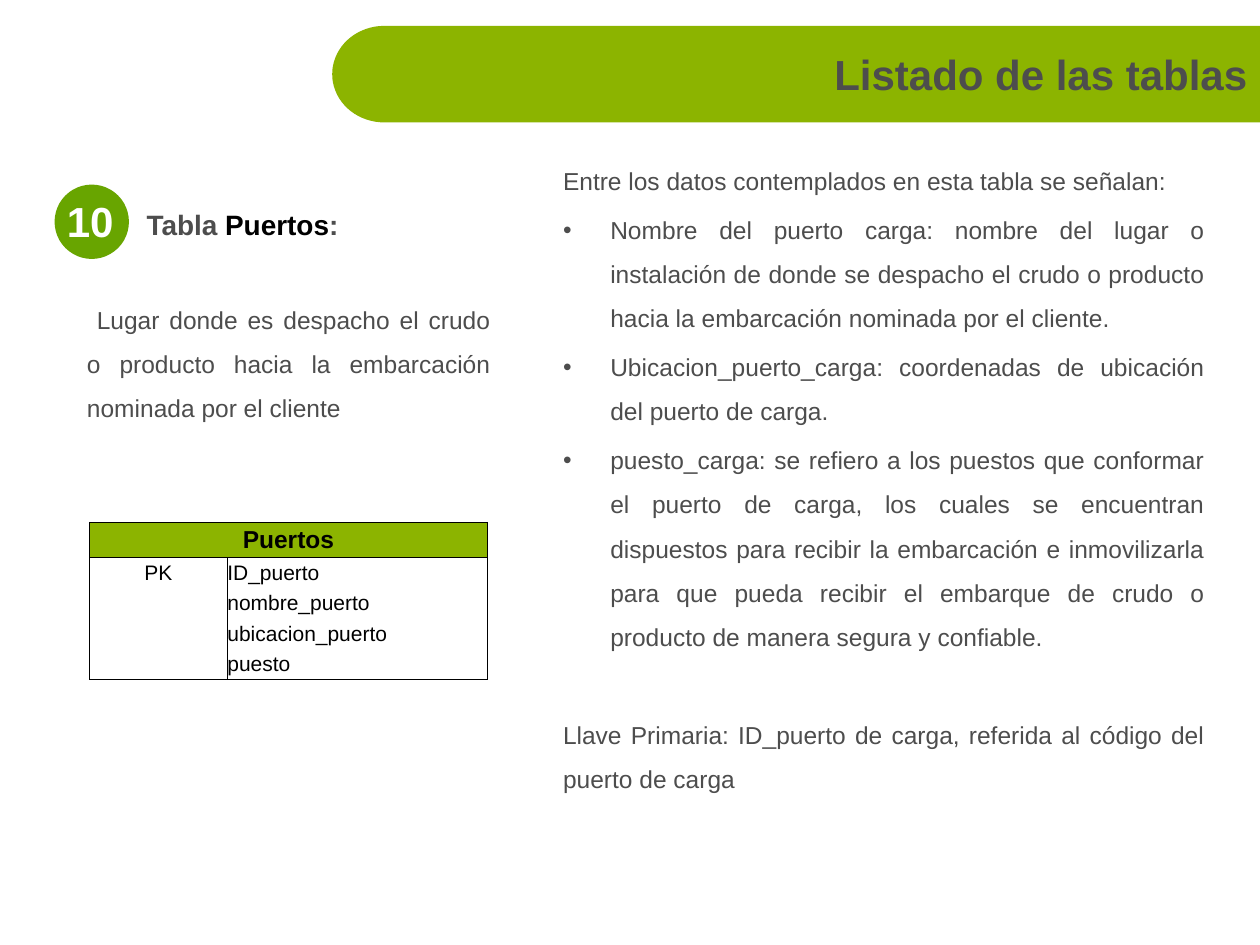
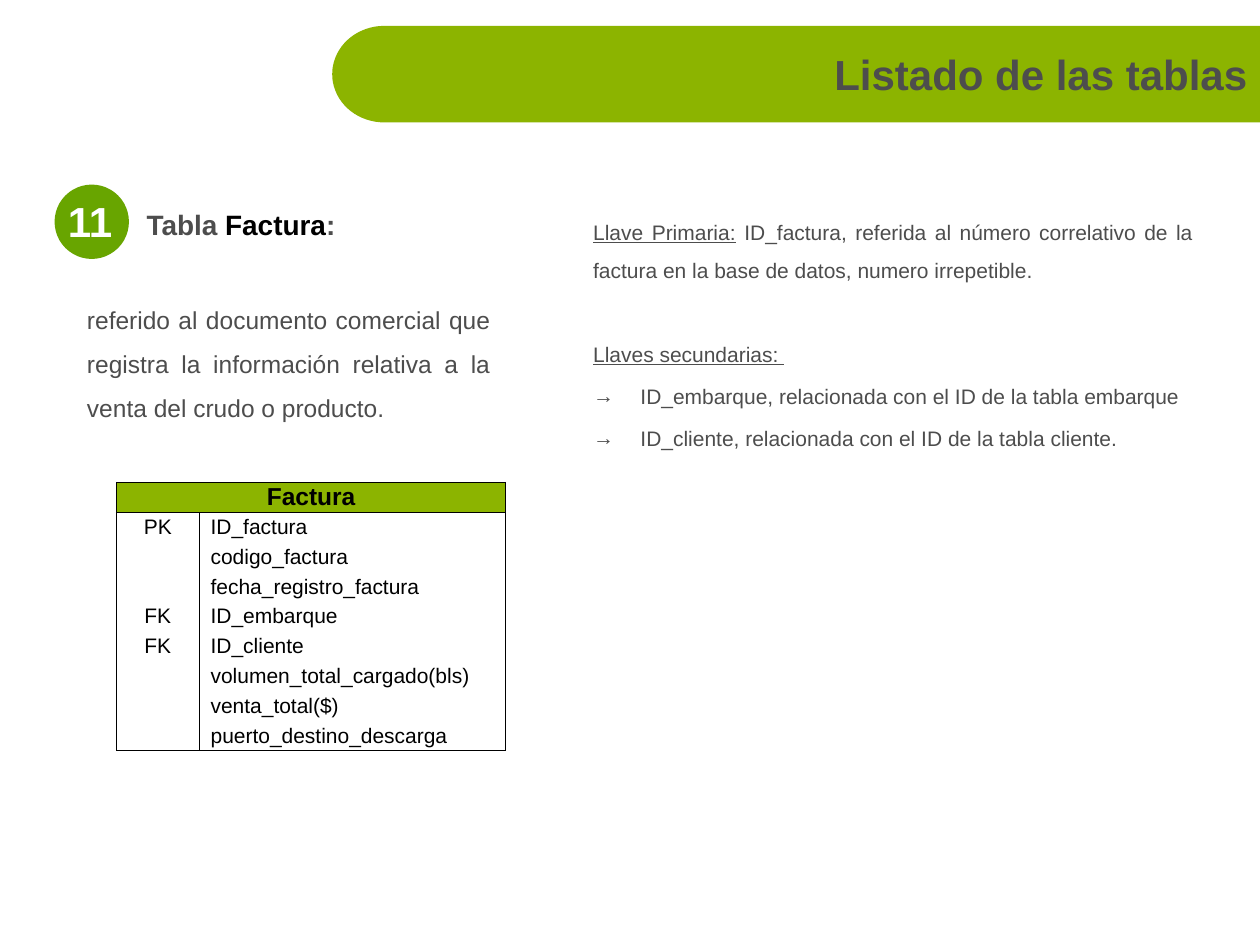
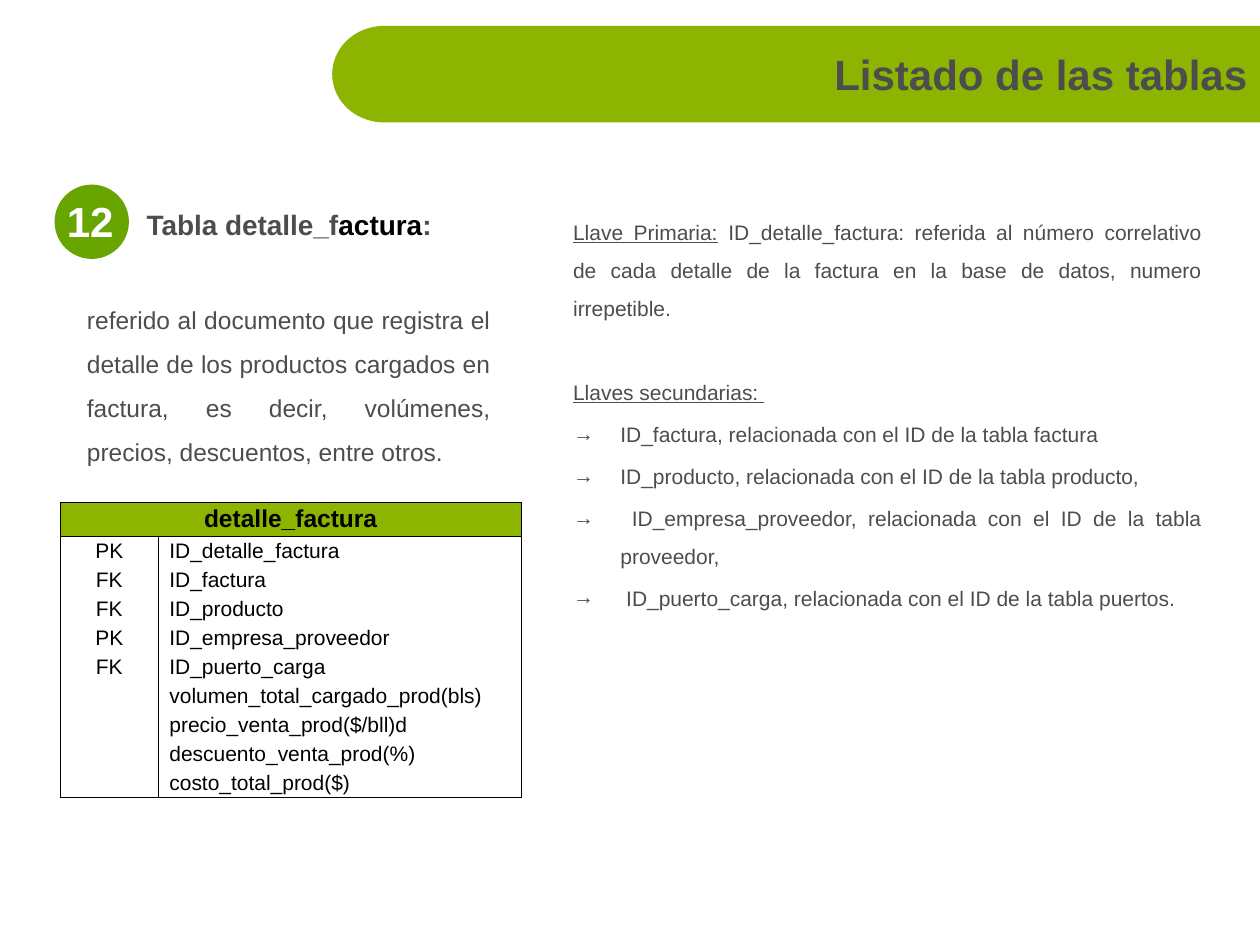
"""Build three slides that describe the tables of a shipping database."""
from math import cos, radians, sin

from lxml.etree import SubElement
from pptx import Presentation
from pptx.dml.color import RGBColor
from pptx.enum.shapes import MSO_SHAPE
from pptx.enum.text import MSO_ANCHOR, MSO_AUTO_SIZE, PP_ALIGN
from pptx.oxml import parse_xml
from pptx.oxml.ns import nsdecls, qn
from pptx.util import Inches, Pt

GREEN, DARK_GREEN = "8CB400", "68A500"
GRAY, BLACK, WHITE = "4D4D4D", "000000", "FFFFFF"
FONT = "Arial"
HANGING = Pt(27)

presentation = Presentation()
presentation.slide_width, presentation.slide_height = Inches(10), Inches(7.5)
column = presentation.slide_width // 100
row = presentation.slide_height // 75


def place(left, top, width, height):
    """Turn grid columns and rows into slide lengths."""
    return int(left * column), int(top * row), int(width * column), int(height * row)


def write(paragraph, size, runs, bold=False, align=PP_ALIGN.LEFT):
    """Add runs given as (text, colour, underline) to a paragraph."""
    paragraph.alignment = align
    for text, color, underline in runs:
        run = paragraph.add_run()
        run.text = text
        run.font.name, run.font.size = FONT, Pt(size)
        run.font.bold, run.font.underline = bold, underline
        run.font.color.rgb = RGBColor.from_string(color)


slides = [
    {
        "number": "10",
        "heading": [("Tabla ", GRAY), ("Puertos", BLACK), (":", GRAY)],
        "summary": " Lugar donde es despacho el crudo o producto hacia la embarcación "
                   "nominada por el cliente",
        "name": "Puertos",
        "table": (7.1, 41.45, 31.6, 12.5), "header": 2.8, "key_width": 10.95, "margin": 0,
        "fields": [("PK", "ID_puerto"), ("", "nombre_puerto"), ("", "ubicacion_puerto"),
                   ("", "puesto")],
        "details": (43.7, 11.52, 52.9, 52), "size": 14,
        "paragraphs": [
            ("", 0.2, "", "Entre los datos contemplados en esta tabla se señalan:"),
            ("•", 0.2, "", "Nombre del puerto carga: nombre del lugar o instalación de donde se "
                           "despacho el crudo o producto hacia la embarcación nominada por el "
                           "cliente. "),
            ("•", 0.2, "", "Ubicacion_puerto_carga: coordenadas de ubicación del puerto de carga."),
            ("•", 0.2, "", "puesto_carga: se refiero a los puestos que conformar el puerto de "
                           "carga, los cuales se encuentran dispuestos para recibir la "
                           "embarcación e inmovilizarla para que pueda recibir el embarque de "
                           "crudo o producto de manera segura y confiable."),
            ("", 2.2, "", "Llave Primaria: ID_puerto de carga, referida al código del puerto "
                          "de carga"),
        ],
    },
    {
        "number": "11",
        "heading": [("Tabla ", GRAY), ("Factura", BLACK), (":", GRAY)],
        "summary": "referido al documento comercial que registra la información relativa a la "
                   "venta del crudo o producto.",
        "name": "Factura",
        "table": (9.25, 38.27, 30.9, 21.3), "header": 2.4, "key_width": 6.55, "margin": 0.92,
        "fields": [("PK", "ID_factura"), ("", "codigo_factura"), ("", "fecha_registro_factura"),
                   ("FK", "ID_embarque"), ("FK", "ID_cliente"),
                   ("", "volumen_total_cargado(bls)"), ("", "venta_total($)"),
                   ("", "puerto_destino_descarga")],
        "details": (46.1, 15.95, 49.6, 26), "size": 12,
        "paragraphs": [
            ("", 0.2, "Llave Primaria:", " ID_factura, referida al número correlativo de la "
                                         "factura en la base de datos, numero irrepetible. "),
            ("", 2.2, "Llaves secundarias: ", ""),
            ("→", 0.2, "", "ID_embarque, relacionada con el ID de la tabla embarque"),
            ("→", 0.2, "", "ID_cliente, relacionada con el ID de la tabla cliente."),
        ],
    },
    {
        "number": "12",
        "heading": [("Tabla detalle_f", GRAY), ("actura", BLACK), (":", GRAY)],
        "summary": "referido al documento que registra el detalle de los productos cargados en "
                   "factura, es decir, volúmenes, precios, descuentos, entre otros.",
        "name": "detalle_factura",
        "table": (4.8, 39.87, 36.55, 23.45), "header": 2.7, "key_width": 7.75, "margin": 0.9,
        "fields": [("PK", "ID_detalle_factura"), ("FK", "ID_factura"), ("FK", "ID_producto"),
                   ("PK", "ID_empresa_proveedor"), ("FK", "ID_puerto_carga"),
                   ("", "volumen_total_cargado_prod(bls)"), ("", "precio_venta_prod($/bll)d"),
                   ("", "descuento_venta_prod(%)"), ("", "costo_total_prod($)")],
        "details": (44.5, 15.95, 51.9, 35.7), "size": 12,
        "paragraphs": [
            ("", 0.2, "Llave Primaria:", " ID_detalle_factura: referida al número correlativo de "
                                         "cada detalle de la factura en la base de datos, numero "
                                         "irrepetible. "),
            ("", 2.2, "Llaves secundarias: ", ""),
            ("→", 0.2, "", "ID_factura, relacionada con el ID de la tabla factura"),
            ("→", 0.2, "", "ID_producto, relacionada con el ID de la tabla producto,"),
            ("→", 0.2, "", " ID_empresa_proveedor, relacionada con el ID de la tabla proveedor,"),
            ("→", 0.2, "", " ID_puerto_carga, relacionada con el ID de la tabla puertos."),
        ],
    },
]

for content in slides:
    slide = presentation.slides.add_slide(presentation.slide_layouts[5])
    shapes = slide.shapes

    arc = [(int((30.5 + 4.13 * cos(radians(angle))) * column),
            int((5.89 + 3.83 * sin(radians(angle))) * row)) for angle in range(90, 271, 5)]
    right = presentation.slide_width
    builder = shapes.build_freeform(*arc[0])
    builder.add_line_segments(arc[1:] + [(right, arc[-1][1]), (right, arc[0][1])], close=True)
    band = builder.convert_to_shape()
    badge = shapes.add_shape(MSO_SHAPE.OVAL, *place(4.33, 14.65, 5.9, 5.9))
    for shape, color in ((band, GREEN), (badge, DARK_GREEN)):
        shape.shadow.inherit = False
        shape.fill.solid()
        shape.fill.fore_color.rgb = RGBColor.from_string(color)
        shape.line.fill.background()

    title = shapes.title
    title.left, title.top, title.width, title.height = place(30.6, 2.7, 69.4, 6.3)
    frame = title.text_frame
    frame.vertical_anchor, frame.auto_size = MSO_ANCHOR.MIDDLE, MSO_AUTO_SIZE.NONE
    write(frame.paragraphs[0], 24, [("Listado de las tablas", GRAY, False)], True, PP_ALIGN.RIGHT)
    title.element.getparent().append(title.element)

    labels = [((4.2, 15.05, 5.9, 5), 24, [(content["number"], WHITE)], PP_ALIGN.CENTER),
              ((10.65, 15.95, 30.7, 3.7), 16, content["heading"], PP_ALIGN.LEFT)]
    for area, size, runs, align in labels:
        frame = shapes.add_textbox(*place(*area)).text_frame
        frame.word_wrap, frame.vertical_anchor = True, MSO_ANCHOR.MIDDLE
        write(frame.paragraphs[0], size, [(*run, False) for run in runs], True, align)

    texts = [((5.92, 22.55, 34, 11), 14, [("", 0.2, "", content["summary"])]),
             (content["details"], content["size"], content["paragraphs"])]
    for area, size, paragraphs in texts:
        frame = shapes.add_textbox(*place(*area)).text_frame
        frame.word_wrap = True
        for index, (bullet, gap, label, text) in enumerate(paragraphs):
            paragraph = frame.add_paragraph() if index else frame.paragraphs[0]
            runs = [(label, GRAY, True), (text, GRAY, False)]
            write(paragraph, size, [run for run in runs if run[0]], align=PP_ALIGN.JUSTIFY)
            paragraph.line_spacing, paragraph.space_before = 1.5, Pt(gap * size)
            if bullet:
                properties = paragraph._p.get_or_add_pPr()
                properties.set("marL", str(HANGING))
                properties.set("indent", str(-HANGING))
                SubElement(properties, qn("a:buFont")).set("typeface", FONT)
                SubElement(properties, qn("a:buChar")).set("char", bullet)

    fields = content["fields"]
    left, top, width, height = content["table"]
    table = shapes.add_table(len(fields) + 1, 2, *place(*content["table"])).table
    table.first_row = table.horz_banding = False
    table.columns[0].width = int(content["key_width"] * column)
    table.columns[1].width = int((width - content["key_width"]) * column)
    table.cell(0, 0).merge(table.cell(0, 1))
    for index, values in enumerate([(content["name"], ""), *fields]):
        is_header = index == 0
        row_height = content["header"] if is_header else (height - content["header"]) / len(fields)
        table.rows[index].height = int(row_height * row)
        for position, value in enumerate(values):
            cell = table.cell(index, position)
            cell.margin_left = cell.margin_right = cell.margin_top = cell.margin_bottom = 0
            cell.vertical_anchor = MSO_ANCHOR.MIDDLE
            paragraph = cell.text_frame.paragraphs[0]
            if position:
                cell.margin_left = int(content["margin"] * column)
            if value:
                align = PP_ALIGN.LEFT if position else PP_ALIGN.CENTER
                write(paragraph, 14 if is_header else 12, [(value, BLACK, False)], is_header, align)
            else:
                SubElement(paragraph._p, qn("a:endParaRPr")).set("sz", "1200")
            if is_header:
                cell.fill.solid()
                cell.fill.fore_color.rgb = RGBColor.from_string(GREEN)
            else:
                cell.fill.background()
            sides = {"L": True, "R": True, "T": index < 2, "B": index in (0, len(fields))}
            for order, (side, visible) in enumerate(sides.items()):
                paint = f'<a:solidFill><a:srgbClr val="{BLACK}"/></a:solidFill>'
                border = parse_xml(f'<a:ln{side} {nsdecls("a")} w="{Pt(0.5)}">'
                                   f'{paint if visible else "<a:noFill/>"}</a:ln{side}>')
                cell._tc.get_or_add_tcPr().insert(order, border)

presentation.save("out.pptx")
